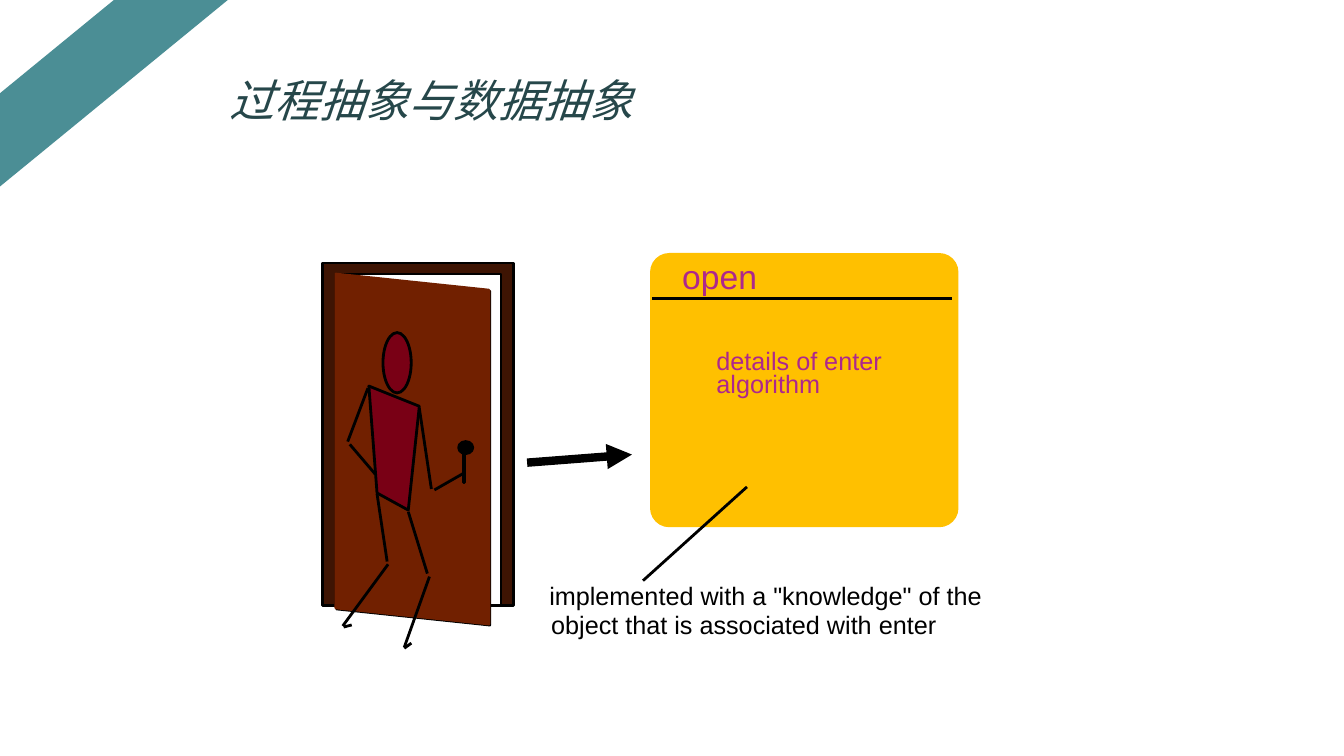
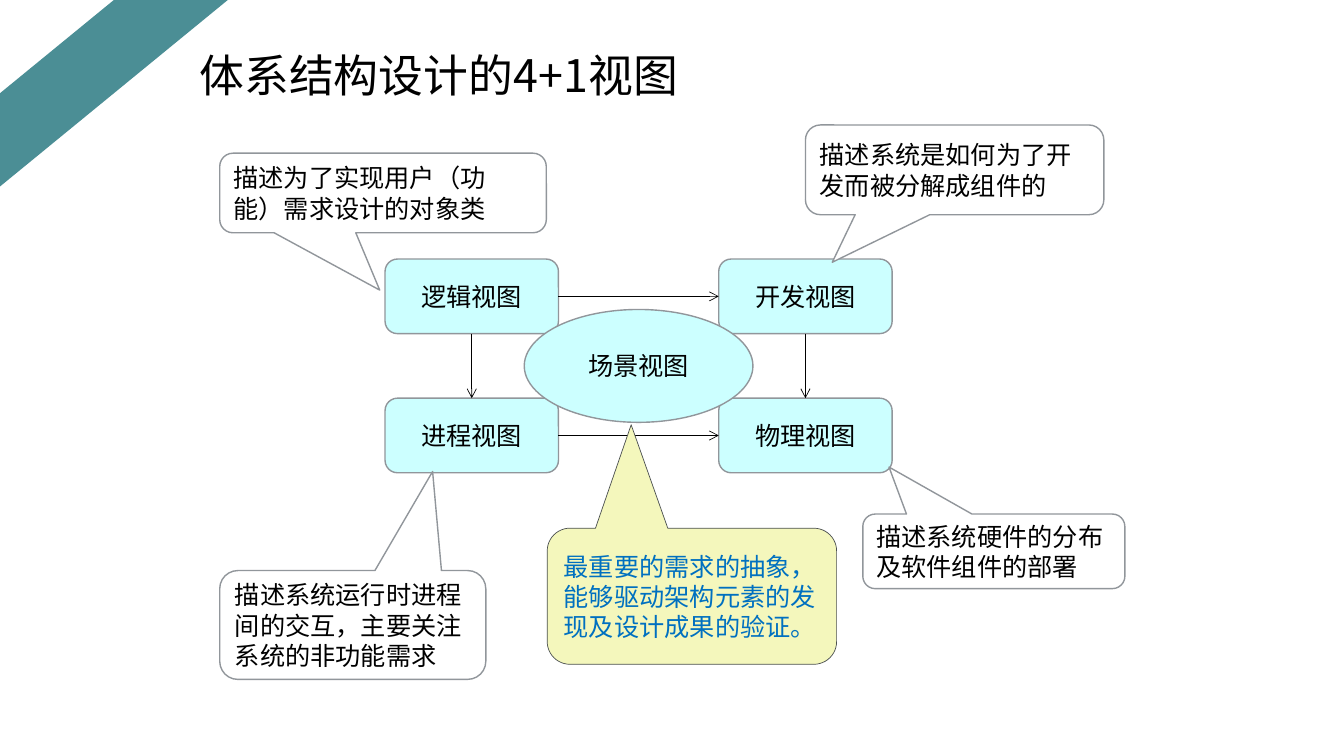
from dataclasses import dataclass

from lxml import etree
from pptx import Presentation
from pptx import util as u
from pptx.dml.color import RGBColor
from pptx.enum import shapes, text
from pptx.oxml import ns


@dataclass(frozen=True)
class Theme:
    stripe: str = "4B8E95"
    title: str = "26474A"
    ink: str = "000000"
    paper: str = "FFFFFF"
    frame: str = "3E1403"
    leaf: str = "712000"
    figure: str = "790015"
    card: str = "FFC000"
    accent: str = "AD278D"
    node: str = "CCFFFF"
    edge: str = "91969B"
    note: str = "F4F7BC"
    note_edge: str = "4B5050"
    note_text: str = "0070C0"
    title_font: str = "Noto Sans CJK SC"
    body_font: str = "Arial"
    title_size: int = 32
    heading_size: int = 24
    body_size: int = 18
    hairline: float = 0.5
    thin: int = 1
    line: int = 2
    heavy: int = 6


THEME = Theme()
PRESET = shapes.MSO_SHAPE
ANCHOR = text.MSO_ANCHOR
ALIGN = text.PP_ALIGN


@dataclass(frozen=True)
class Box:
    left: float
    top: float
    width: float
    height: float

    def point(self, x, y):
        return (round(self.left + self.width * x / 100),
                round(self.top + self.height * y / 100))

    def area(self, x, y, width, height):
        return Box(*self.point(x, y), self.width * width / 100,
                   self.height * height / 100)

    def bounds(self):
        return [round(v) for v in (self.left, self.top, self.width, self.height)]


def paint(shape, fill=None, line=None, weight=THEME.line):
    shape.shadow.inherit = False
    if fill:
        shape.fill.solid()
        shape.fill.fore_color.rgb = RGBColor.from_string(fill)
    else:
        shape.fill.background()
    if line:
        shape.line.color.rgb = RGBColor.from_string(line)
        shape.line.width = u.Pt(weight)
    else:
        shape.line.fill.background()
    return shape


def add_preset(slide, preset, box, fill=None, line=None, weight=THEME.line):
    return paint(slide.shapes.add_shape(preset, *box.bounds()), fill, line, weight)


def add_outline(slide, box, points, fill=None, line=None):
    start, *rest = [box.point(*point) for point in points]
    builder = slide.shapes.build_freeform(*start, scale=1.0)
    builder.add_line_segments(rest, close=True)
    return paint(builder.convert_to_shape(), fill, line)


def add_line(slide, start, end, weight=THEME.line, head=None):
    connector = slide.shapes.add_connector(
        shapes.MSO_CONNECTOR.STRAIGHT, *start, *end)
    connector.line.color.rgb = RGBColor.from_string(THEME.ink)
    connector.line.width = u.Pt(weight)
    properties = connector._element.spPr
    if head:
        etree.SubElement(properties.find(ns.qn("a:ln")),
                         ns.qn("a:tailEnd"), type=head)
    etree.SubElement(properties, ns.qn("a:effectLst"))
    return connector


def write(shape, words, color=THEME.ink, size=THEME.body_size,
          font=THEME.body_font, align=ALIGN.LEFT, anchor=ANCHOR.MIDDLE,
          wrap=True, italic=False, spacing=None):
    frame = shape.text_frame
    frame.word_wrap = wrap
    frame.vertical_anchor = anchor
    paragraph = frame.paragraphs[0]
    paragraph.alignment = align
    paragraph.line_spacing = spacing
    run = paragraph.add_run()
    run.text = words
    run.font.size = u.Pt(size)
    run.font.italic = italic
    run.font.color.rgb = RGBColor.from_string(color)
    run.font.name = font
    etree.SubElement(run.font._element, ns.qn("a:ea"), typeface=font)


def add_label(slide, box, words, **style):
    write(slide.shapes.add_textbox(*box.bounds()), words,
          anchor=ANCHOR.TOP, wrap=False, **style)


def add_base(presentation, page, title, title_box, **style):
    slide = presentation.slides.add_slide(presentation.slide_layouts[6])
    add_preset(slide, PRESET.DIAGONAL_STRIPE, page.area(0, 0, 16.95, 24.67),
               THEME.stripe)
    write(slide.shapes.add_textbox(*title_box.bounds()), title,
          size=THEME.title_size, font=THEME.title_font, spacing=0.9, **style)
    return slide


def draw_door(slide, box):
    add_preset(slide, PRESET.RECTANGLE, box, THEME.frame, THEME.ink)
    add_preset(slide, PRESET.RECTANGLE, box.area(6.9, 3.2, 86.8, 96.8),
               THEME.paper, THEME.ink)
    leaf = [(6.9, 3.2), (87.3, 7.9), (87.3, 105.3), (6.9, 100.6)]
    add_outline(slide, box.area(0.5, 0.3, 100, 100), leaf, line=THEME.ink)
    add_outline(slide, box, leaf, THEME.leaf, THEME.leaf)
    add_preset(slide, PRESET.OVAL, box.area(71.4, 52.1, 7.4, 3.5),
               THEME.ink, THEME.ink)
    add_preset(slide, PRESET.RECTANGLE, box.area(74.1, 55.6, 0.5, 8.5),
               THEME.ink, THEME.ink)


def draw_walker(slide, box):
    add_preset(slide, PRESET.OVAL, box.area(31.7, 20.3, 14.8, 17.6),
               THEME.figure, THEME.ink)
    torso = [(24.3, 35.9), (50.8, 41.8), (45, 72.1), (28.6, 67.1)]
    add_outline(slide, box, torso, THEME.figure, THEME.ink)
    limbs = [
        ((50.8, 42.4), (57.1, 65.9)), ((58.7, 66.2), (73.5, 61.5)),
        ((23.8, 36.5), (13.2, 52.1)), ((14.3, 52.9), (27.5, 61.5)),
        ((45, 72.6), (55, 90.6)), ((56.1, 91.5), (42.9, 112.1)),
        ((42.9, 112.4), (46.6, 110.9)), ((28.6, 67.4), (33.9, 87.1)),
        ((34.4, 87.9), (10.6, 105.9)), ((11.1, 106.2), (15.3, 105.6)),
    ]
    for start, end in limbs:
        add_line(slide, box.point(*start), box.point(*end))


def draw_card(slide, box):
    card = add_preset(slide, PRESET.ROUNDED_RECTANGLE, box, THEME.card)
    card.adjustments[0] = 0.07
    add_line(slide, box.point(0.65, 16.5), box.point(98, 16.5))
    add_label(slide, box.area(7.2, -0.7, 31, 18.4), "open",
              color=THEME.accent, size=THEME.heading_size)
    for row, words in enumerate(("details of enter", "algorithm")):
        add_label(slide, box.area(18.3, 32 + 8.1 * row, 62.4, 14.7), words,
                  color=THEME.accent)
    add_line(slide, box.point(31.4, 85.3), box.point(-2.3, 119.5))


def draw_caption(slide, box):
    lines = ('implemented with a "knowledge" of the',
             "object that is associated with enter")
    for row, words in enumerate(lines):
        add_label(slide, box.area(0.4 * row, 42 * row, 100, 58), words)


def build_abstraction(presentation, page):
    slide = add_base(presentation, page, "过程抽象与数据抽象",
                     page.area(16.35, 9.73, 67.35, 12.53),
                     color=THEME.title, italic=True, anchor=ANCHOR.TOP)
    door = page.area(24, 34.8, 14.18, 45.33)
    add_line(slide, page.point(39.22, 61.2), page.point(47.02, 60.13),
             THEME.heavy, "triangle")
    draw_door(slide, door)
    draw_walker(slide, door)
    draw_card(slide, page.area(48.37, 33.47, 22.95, 36.27))
    draw_caption(slide, page.area(40.13, 76.13, 34.73, 9.2))


def draw_views(slide, box):
    width, height = 34.2, 34.9
    names = (("逻辑视图", "开发视图"), ("进程视图", "物理视图"))

    def add_view(preset, place, words):
        view = add_preset(slide, preset, place, THEME.node, THEME.edge, THEME.thin)
        write(view, words, align=ALIGN.CENTER)
        return view

    grid = [[add_view(PRESET.ROUNDED_RECTANGLE,
                      box.area(column * (100 - width), row * (100 - height),
                               width, height), words)
             for column, words in enumerate(line)]
            for row, line in enumerate(names)]
    add_view(PRESET.OVAL, box.area(27.45, 23.6, 45.1, 52.8), "场景视图")
    (logical, development), (process, physical) = grid
    right, left, bottom, top = 3, 1, 2, 0
    for source, exit_site, target, entry_site in (
            (logical, right, development, left),
            (logical, bottom, process, top),
            (process, right, physical, left),
            (development, bottom, physical, top)):
        arrow = add_line(slide, (0, 0), (0, 0), THEME.hairline, "arrow")
        arrow.begin_connect(source, exit_site)
        arrow.end_connect(target, entry_site)


def draw_callout(slide, box, tip, words, fill=THEME.paper, line=THEME.edge,
                 weight=THEME.thin, color=THEME.ink):
    callout = add_preset(slide, PRESET.ROUNDED_RECTANGULAR_CALLOUT, box,
                         fill, line, weight)
    callout.adjustments[0], callout.adjustments[1] = tip
    write(callout, words, color=color)


def build_views(presentation, page):
    slide = add_base(presentation, page, "体系结构设计的4+1视图",
                     page.area(14.1, 4, 78.53, 12.53))
    draw_views(slide, page.area(28.65, 34.27, 37.73, 28.27))
    callouts = [
        ((16.35, 75.47, 19.8, 14.4), (0.3, -1.41),
         "描述系统运行时进程间的交互，主要关注系统的非功能需求"),
        ((59.93, 16.53, 22.2, 11.87), (-0.41, 1.03),
         "描述系统是如何为了开发而被分解成组件的"),
        ((16.35, 20.27, 24.3, 10.53), (-0.01, 1.22),
         "描述为了实现用户（功能）需求设计的对象类"),
        ((64.2, 68, 19.5, 9.87), (-0.4, -1.13),
         "描述系统硬件的分布及软件组件的部署"),
    ]
    for place, tip, words in callouts:
        draw_callout(slide, page.area(*place), tip, words)
    draw_callout(slide, page.area(40.72, 69.87, 21.53, 18), (-0.21, -1.26),
                 "最重要的需求的抽象，能够驱动架构元素的发现及设计成果的验证。",
                 THEME.note, THEME.note_edge, THEME.hairline, THEME.note_text)


def main():
    presentation = Presentation()
    presentation.slide_width = u.Inches(13.33)
    presentation.slide_height = u.Inches(7.5)
    page = Box(0, 0, presentation.slide_width, presentation.slide_height)
    build_abstraction(presentation, page)
    build_views(presentation, page)
    presentation.save("out.pptx")


if __name__ == "__main__":
    main()
